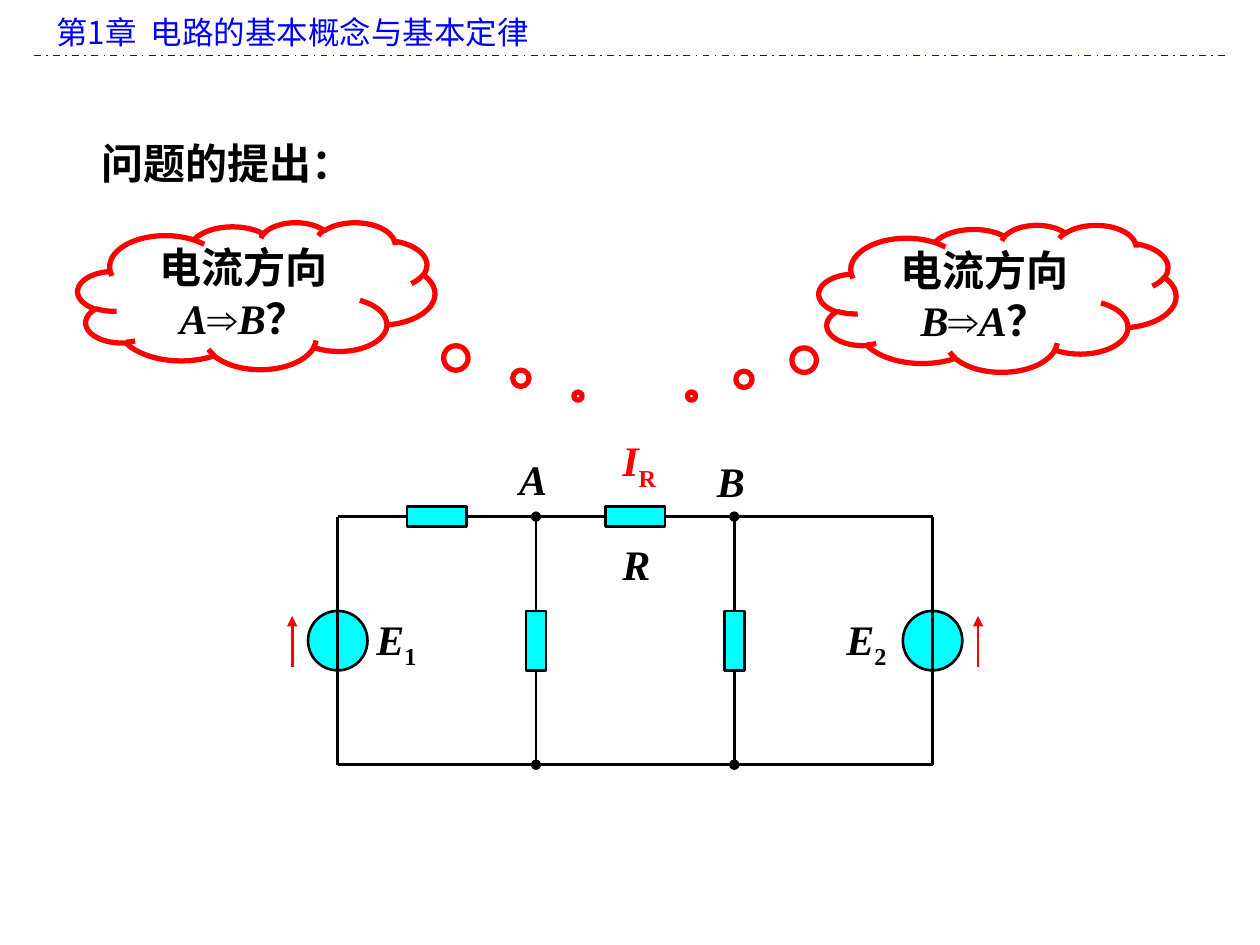
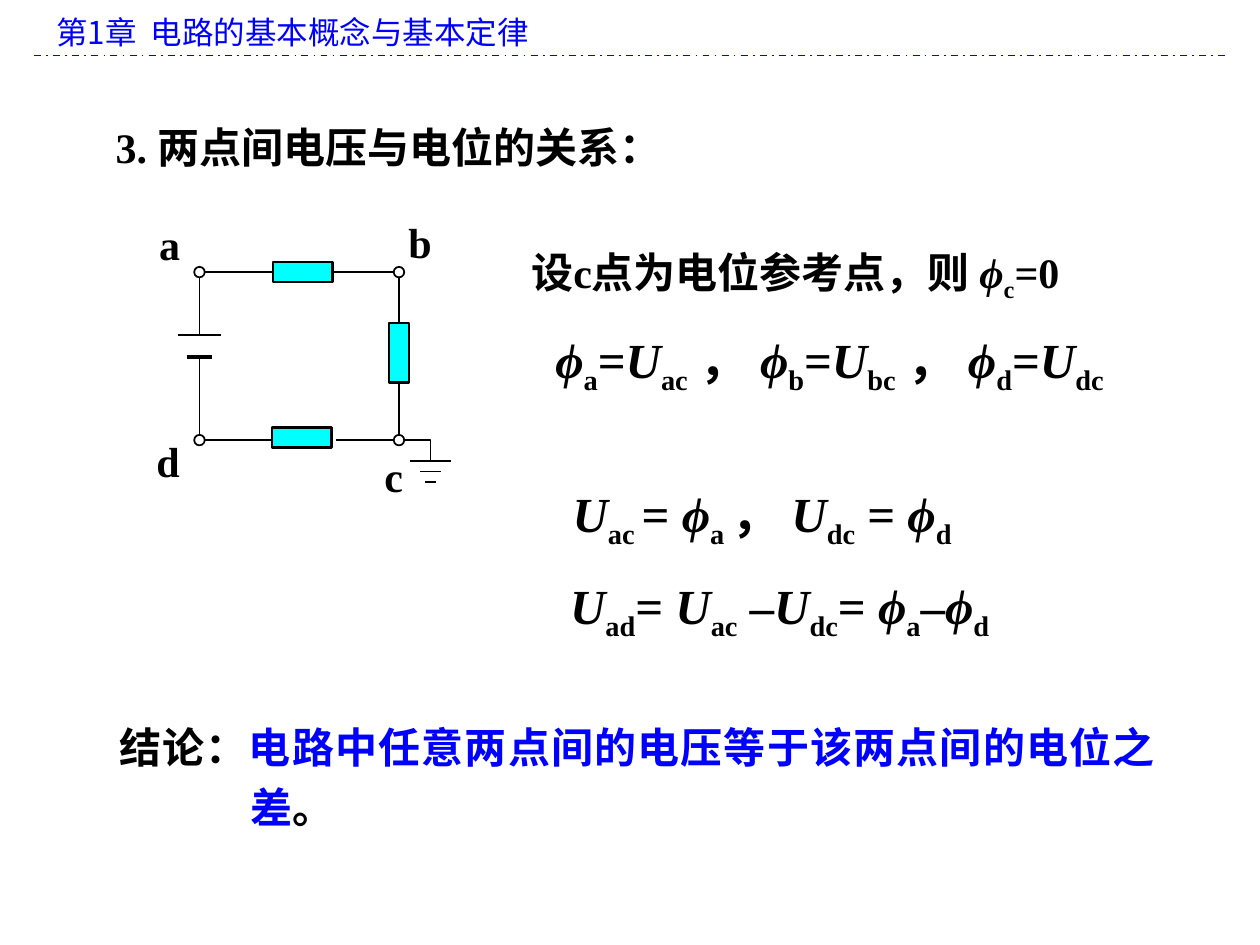
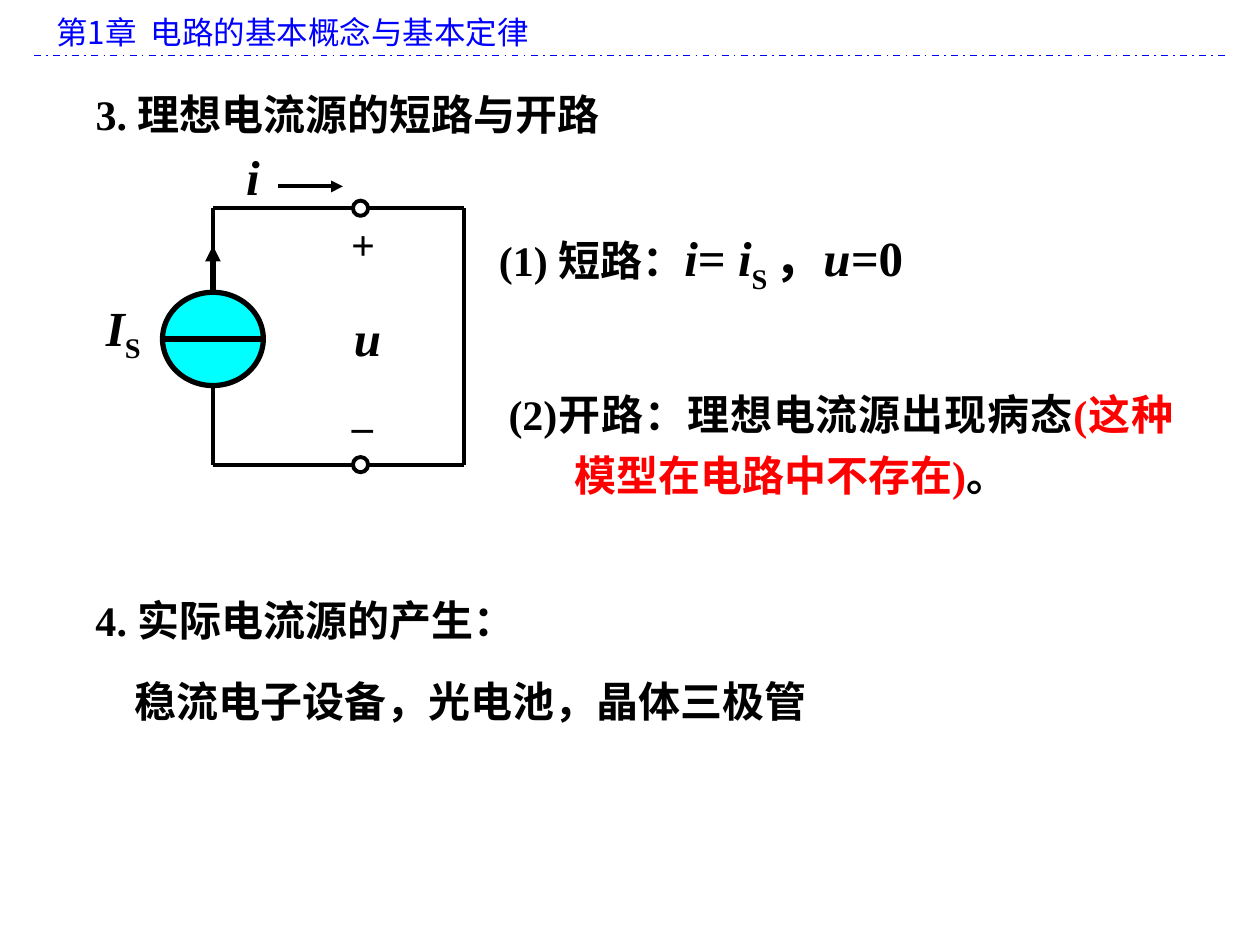
from lxml import etree
from pptx import Presentation
from pptx import util as u
from pptx.dml.color import RGBColor
from pptx.enum import dml, shapes, text
from pptx.oxml.ns import qn

HUES = {"ink": "000000", "blue": "0000FF", "red": "FF0000",
        "cyan": "00FFFF", "white": "FFFFFF"}
SERIF, SANS = "Times New Roman", "Noto Sans CJK SC"
LEFT, MID, JUST = text.PP_ALIGN.LEFT, text.PP_ALIGN.CENTER, text.PP_ALIGN.JUSTIFY
TOP, HALF = text.MSO_ANCHOR.TOP, text.MSO_ANCHOR.MIDDLE
KIND = shapes.MSO_SHAPE


def rgb(hue):
    return RGBColor.from_string(HUES[hue])


def write(para, spans, size=24, hue="ink", align=LEFT, lead=None, hang=0,
          font=SERIF, bold=True):
    """Fill a paragraph; *x* is italic, ~x~ is subscript.

    A span is plain markup or (markup, hue, size).
    """
    para.alignment = align
    if lead:
        para.line_spacing = lead
    if hang:
        props = para._p.get_or_add_pPr()
        props.set("marL", str(u.Pt(hang)))
        props.set("indent", str(-u.Pt(hang)))
    para.font.name, para.font.size, para.font.bold = font, u.Pt(size), bold
    para.font.color.rgb = rgb(hue)
    for span in [spans] if isinstance(spans, str) else spans:
        words, tint, big = (span, None, None) if isinstance(span, str) else span
        for i, chunk in enumerate(words.split("*")):
            for j, part in enumerate(chunk.split("~")):
                if not part:
                    continue
                run = para.add_run()
                run.text = part
                if i % 2:
                    run.font.italic = True
                if j % 2:
                    run._r.get_or_add_rPr().set("baseline", "-25000")
                if tint:
                    run.font.color.rgb = rgb(tint)
                if big:
                    run.font.size = u.Pt(big)


def label(slide, box, spans, anchor=HALF, wrap=True, **style):
    shape = slide.shapes.add_textbox(*map(u.Pt, box))
    frame = shape.text_frame
    frame.word_wrap, frame.vertical_anchor = wrap, anchor
    write(frame.paragraphs[0], spans, **style)
    return shape


def block(slide, kind, x, y, wide, high, fill="cyan", width=1.5, hue="ink"):
    """Draw a preset shape centred on x, y."""
    shape = slide.shapes.add_shape(
        kind, *map(u.Pt, (x - wide / 2, y - high / 2, wide, high)))
    shape.shadow.inherit = False
    if fill:
        shape.fill.solid()
        shape.fill.fore_color.rgb = rgb(fill)
    else:
        shape.fill.background()
    shape.line.color.rgb, shape.line.width = rgb(hue), u.Pt(width)
    return shape


def resist(slide, x, y, upright=False):
    size = (11.5, 34) if upright else (34, 11.5)
    block(slide, KIND.RECTANGLE, x, y, *size)


def line(slide, x1, y1, x2, y2, width=1.5, hue="ink", head=None, tail=None,
         dash=None):
    link = slide.shapes.add_connector(
        shapes.MSO_CONNECTOR.STRAIGHT, *map(u.Pt, (x1, y1, x2, y2)))
    link.line.color.rgb, link.line.width = rgb(hue), u.Pt(width)
    if dash:
        link.line.dash_style = dash
    for tag, end in (("a:headEnd", head), ("a:tailEnd", tail)):
        if end:
            etree.SubElement(link.line._get_or_add_ln(), qn(tag), type=end)
    etree.SubElement(link._element.spPr, qn("a:effectLst"))


def wire(slide, *points):
    start, *rest = [(u.Pt(x), u.Pt(y)) for x, y in points]
    pen = slide.shapes.build_freeform(*start)
    pen.add_line_segments(rest, close=False)
    path = pen.convert_to_shape()
    path.shadow.inherit = False
    path.fill.background()
    path.line.color.rgb, path.line.width = rgb("ink"), u.Pt(1)


def cloud(slide, x, y, ask, tip):
    shape = block(slide, KIND.CLOUD_CALLOUT, x, y, 204, 84, "white", 3, "red")
    shape.adjustments[0], shape.adjustments[1] = tip
    frame = shape.text_frame
    frame.word_wrap, frame.vertical_anchor = False, HALF
    write(frame.paragraphs[0], "电流方向", align=MID)
    write(frame.add_paragraph(), ask, align=MID)


def page(deck):
    """Add a blank slide with the chapter band."""
    slide = deck.slides.add_slide(deck.slide_layouts[6])
    label(slide, (25, 3.6, 675, 29), "第1章  电路的基本概念与基本定律", TOP,
          size=18, hue="blue", font=SANS, bold=False)
    line(slide, 19.5, 31.7, 700, 31.7, 1, "blue",
         dash=dml.MSO_LINE.DASH_DOT)
    return slide


def question(deck):
    slide = page(deck)
    cloud(slide, 146.5, 169, "*A*⇒*B*？", (0.901, 0.683))
    cloud(slide, 570, 170.5, "*B*⇒*A*？", (-0.857, 0.665))
    label(slide, (51, 60.5, 524, 50), "问题的提出：", TOP, lead=1.5)

    west, near, far, east = cols = [193 + 113.3 * i for i in range(4)]
    top, low = 295.2, 437
    half = (top + low) / 2
    for x in (west, east):
        block(slide, KIND.OVAL, x, half, 34, 34)
    for y in (top, low):
        line(slide, west, y, east, y)
    for x in cols:
        dot = "oval" if x in (near, far) else None
        line(slide, x, top, x, low, head=dot, tail=dot)
    for x in (near, far):
        resist(slide, x, half, True)
    for x in (west, near):
        resist(slide, x + 56.65, top)
    for x in (west - 26, east + 26):
        line(slide, x, 381, x, 352, hue="red", tail="triangle")

    for x, y, name in ((289.5, 255.5, "*A*"), (402.5, 256.5, "*B*"),
                       (348.5, 304, "*R*")):
        label(slide, (x, y, 40, 36), name, TOP)
    for x, y, name, hue in ((348.5, 245, "*I*~R~", "red"),
                            (208, 347, "*E*~1~", "ink"),
                            (476.5, 347, "*E*~2~", "ink")):
        label(slide, (x, y, 38, 36), name, TOP, False, hue=hue)


def volts(deck):
    slide = page(deck)
    label(slide, (59, 66, 571, 36), "3. 两点间电压与电位的关系：", align=JUST)
    label(slide, (296, 139, 317, 36), "设c点为电位参考点，则 *ϕ*~c~=0", align=MID)
    for box, sums in (
            ((255, 187, 438, 41),
             "*ϕ*~a~=*U*~ac~ ， *ϕ*~b~=*U*~bc~ ， *ϕ*~d~=*U*~dc~"),
            ((294.5, 275, 282, 41), "*U*~ac ~= *ϕ*~a ~， *U*~dc~ = *ϕ*~d~"),
            ((304.5, 327.5, 282, 41),
             "*U*~ad~= *U*~ac~ –*U*~dc~= *ϕ*~a~–*ϕ*~d~")):
        label(slide, box, sums, size=28, align=MID)
    label(slide, (61, 403, 606, 76),
          ["结论：", ("电路中任意两点间的电压等于该两点间的电位之差", "blue", None), "。"],
          align=JUST, lead=1.2, hang=75)

    west, east, top, low = 114, 228, 155.5, 251.5
    plus, minus, earth = 191.5, 203.8, 246
    line(slide, west - 12, plus, west + 12, plus, 1)
    line(slide, west - 7.2, minus, west + 7.2, minus, 2.25)
    wire(slide, (west, plus), (west, top), (156, top))
    wire(slide, (186, top), (east, top), (east, 186))
    wire(slide, (west, minus), (west, low), (162, low))
    wire(slide, (192, low), (east, low), (east, 215.5))
    wire(slide, (east, low), (earth, low), (earth, 263.5))
    for i, arm in enumerate((12, 6, 3)):
        y = 263.5 + 6 * i
        line(slide, earth - arm, y, earth + arm, y, 1)
    for x in (west, east):
        for y in (top, low):
            block(slide, KIND.OVAL, x, y, 6, 6, "white", 1)
    resist(slide, 173, top)
    resist(slide, 172.5, 250)
    resist(slide, east, 201.6, True)
    for x, y, name in ((97, 139, "a"), (240, 138, "b"),
                       (225, 272, "c"), (96, 263.5, "d")):
        label(slide, (x - 18, y - 18, 36, 36), name, align=MID)


def source(deck):
    slide = page(deck)
    label(slide, (47.5, 47, 608, 36), "3. 理想电流源的短路与开路")
    label(slide, (283.5, 213, 394, 76),
          ["(2)开路：理想电流源出现病态", ("(这种模型在电路中不存在)", "red", None), "。"],
          align=JUST, lead=1.2, hang=37.5)
    label(slide, (278, 107.5, 428, 76),
          ["(1) 短路：", ("*i*= *i*~S ~，*u=*0", None, 28)],
          align=JUST, lead=1.2, hang=37.5)
    real = label(slide, (47.5, 336, 477, 101), "4. 实际电流源的产生：", TOP,
                 align=JUST)
    made = real.text_frame.add_paragraph()
    made.space_before = u.Pt(12)
    made._p.get_or_add_pPr().set("marL", str(u.Pt(22.5)))
    write(made, "稳流电子设备，光电池，晶体三极管", align=JUST, lead=1.2)

    west, port, east, top, low, mid = 121.7, 206, 265, 119, 265.5, 193.7
    line(slide, 159, 106.5, 196, 106.5, 2.25, tail="triangle")
    for x in (west, east):
        line(slide, x, top, x, low, 2.25)
    for y in (top, low):
        block(slide, KIND.OVAL, port, y, 8.7, 8.7, None, 2.25)
        line(slide, west, y, port - 4.4, y, 2.25)
        line(slide, port + 4.4, y, east, y, 2.25)
    line(slide, west, 167, west, 140.4, 3, tail="triangle")
    block(slide, KIND.OVAL, west, mid, 57.6, 53.3, width=3)
    line(slide, west - 28.8, mid, west + 28.8, mid, 3)

    for x, y, name in ((70.5, 189, "*I*~S~"), (144.5, 100.5, "*i*"),
                       (210, 192.5, "*u*")):
        label(slide, (x - 18, y - 20.5, 36, 41), name, wrap=False, size=28,
              align=MID)
    sign = label(slide, (193.5, 124.5, 28, 36), "+", wrap=False, align=MID)
    sign.rotation = 180
    label(slide, (193, 216.5, 28, 36), "_", wrap=False, align=MID)


def main():
    deck = Presentation()
    deck.slide_width, deck.slide_height = u.Pt(720), u.Pt(540)
    question(deck)
    volts(deck)
    source(deck)
    deck.save("out.pptx")


if __name__ == "__main__":
    main()
